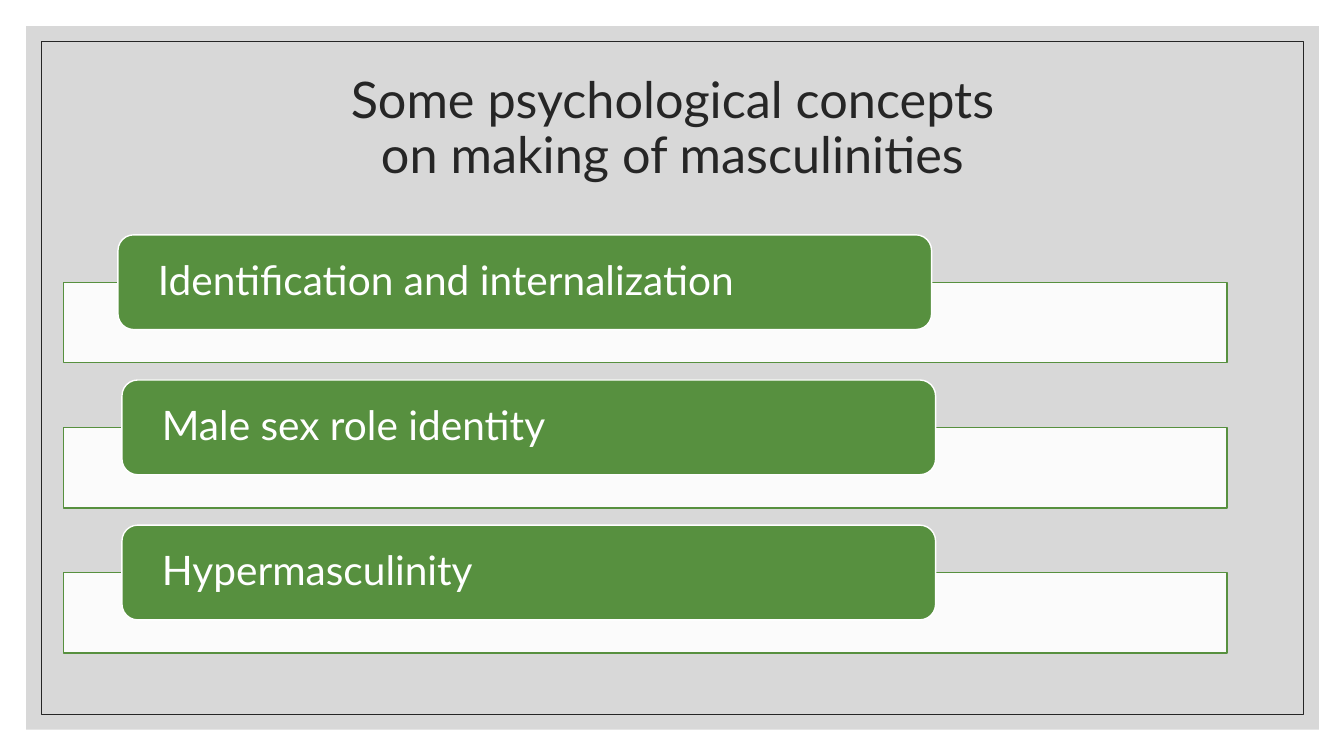
from pptx import Presentation
from pptx.dml.color import RGBColor
from pptx.enum.shapes import MSO_SHAPE
from pptx.enum.text import MSO_ANCHOR, MSO_AUTO_SIZE, PP_ALIGN
from pptx.oxml.ns import qn
from pptx.util import Inches, Pt
from lxml import etree

RECTANGLE = MSO_SHAPE.RECTANGLE
ROUNDED = MSO_SHAPE.ROUNDED_RECTANGLE
MIDDLE = MSO_ANCHOR.MIDDLE
NO_AUTOFIT = MSO_AUTO_SIZE.NONE
LEFT, CENTER = PP_ALIGN.LEFT, PP_ALIGN.CENTER

WHITE = RGBColor(0xFF, 0xFF, 0xFF)
GRAY = RGBColor(0xBF, 0xBF, 0xBF)
INK = RGBColor(0x26, 0x26, 0x26)
GREEN = RGBColor(0x57, 0x90, 0x3F)

FONT = "Lato"
TITLE_LINES = ["Some psychological concepts", "on making of masculinities"]
# Each concept with the left edge of its label
CONCEPTS = [
    ("Identification and internalization", 1.17),
    ("Male sex role identity", 1.21),
    ("Hypermasculinity", 1.21),
]
FIRST_LABEL_TOP = 2.33
ROW_PITCH = 1.44
BAR_OFFSET = 0.47


def add_box(slide, kind, bounds, fill=None, opacity=100, line=None, width=1):
    box = slide.shapes.add_shape(kind, *map(Inches, bounds))
    box.shadow.inherit = False
    if fill is None:
        box.fill.background()
    else:
        box.fill.solid()
        box.fill.fore_color.rgb = fill
        if opacity < 100:
            color = box.fill._xPr.find(qn("a:solidFill"))[0]
            etree.SubElement(color, qn("a:alpha"), val=str(opacity * 1000))
    if line is None:
        box.line.fill.background()
    else:
        box.line.color.rgb = line
        box.line.width = Pt(width)
    return box


def write_text(shape, lines, size, color, align):
    frame = shape.text_frame
    frame.word_wrap = True
    frame.auto_size = NO_AUTOFIT
    frame.vertical_anchor = MIDDLE
    para = frame.paragraphs[0]
    para.alignment = align
    para.line_spacing = 0.9
    for index, line in enumerate(lines):
        if index:
            para.add_line_break()
        span = para.add_run()
        span.text = line
        span.font.name = FONT
        span.font.size = Pt(size)
        span.font.color.rgb = color


def add_title(slide):
    title = slide.shapes.title
    title.left, title.top = Inches(1.17), Inches(0.7)
    title.width, title.height = Inches(11), Inches(1.17)
    write_text(title, TITLE_LINES, 36, INK, CENTER)
    # Bring the title in front of the background panel
    slide.shapes._spTree.append(title._element)


def add_concept(slide, text, left, top):
    add_box(slide, RECTANGLE, (0.63, top + BAR_OFFSET, 11.54, 0.8),
            fill=WHITE, opacity=90, line=GREEN)
    label = add_box(slide, ROUNDED, (left, top, 8.07, 0.94),
                    fill=GREEN, line=WHITE)
    frame = label.text_frame
    frame.margin_left = frame.margin_right = Inches(0.35)
    frame.margin_top = frame.margin_bottom = Inches(0.05)
    write_text(label, [text], 29, WHITE, LEFT)


def main():
    deck = Presentation()
    deck.slide_width, deck.slide_height = Inches(13.33), Inches(7.5)
    slide = deck.slides.add_slide(deck.slide_layouts.get_by_name("Title Only"))

    # Background panel and thin frame
    add_box(slide, RECTANGLE, (0.26, 0.26, 12.82, 6.98), fill=GRAY, opacity=60)
    add_box(slide, RECTANGLE, (0.41, 0.41, 12.52, 6.68), line=INK, width=0.5)

    add_title(slide)

    # Concept rows
    for row, (text, left) in enumerate(CONCEPTS):
        add_concept(slide, text, left, FIRST_LABEL_TOP + row * ROW_PITCH)

    deck.save("out.pptx")


if __name__ == "__main__":
    main()
